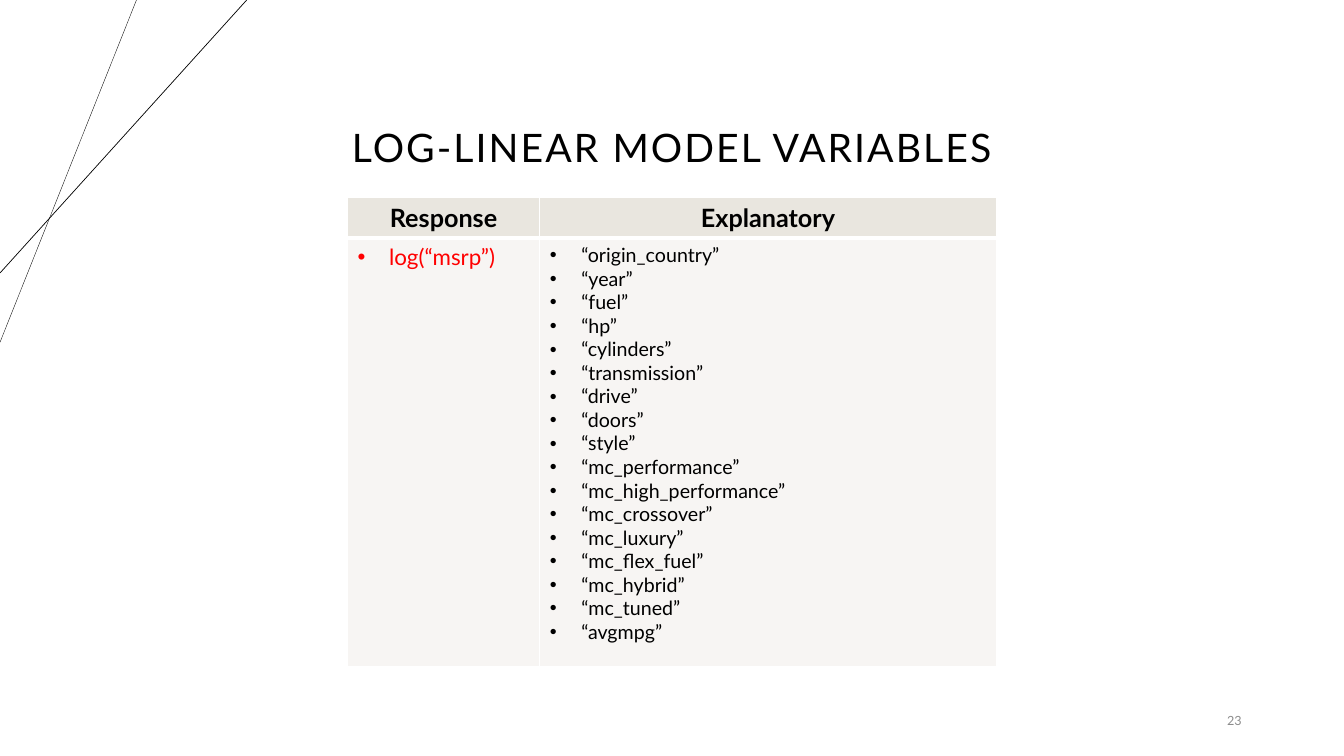
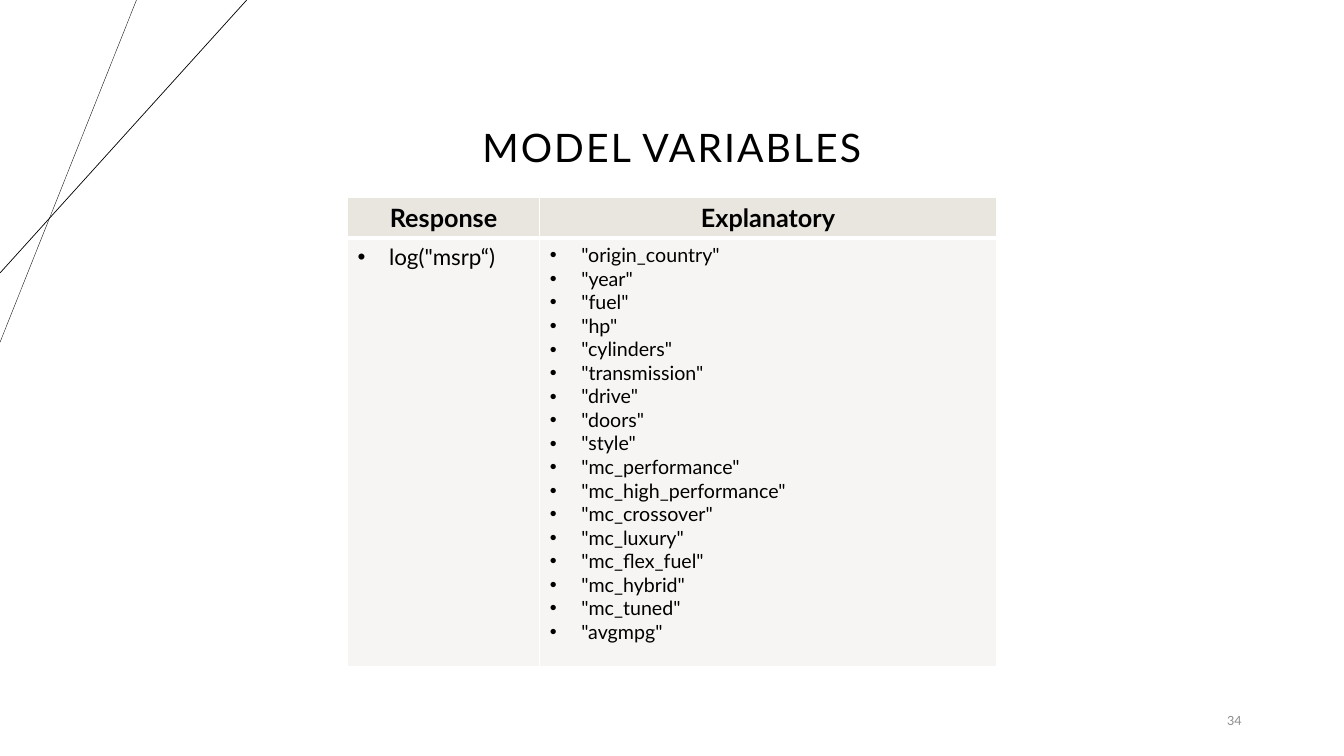
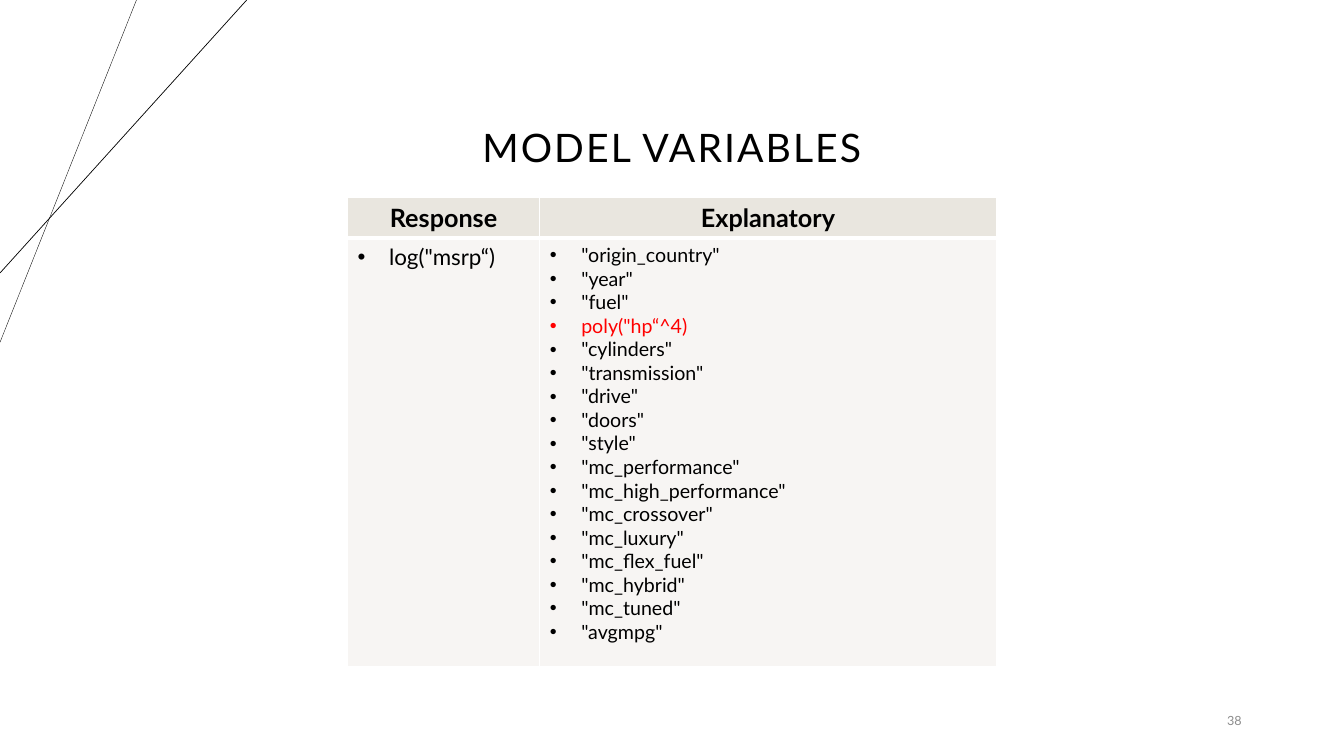
from lxml import etree
from pptx import Presentation
from pptx.dml.color import RGBColor
from pptx.enum.shapes import MSO_CONNECTOR
from pptx.enum.text import MSO_ANCHOR, PP_ALIGN
from pptx.oxml.ns import qn
from pptx.util import Pt

PX = 9525
FONT = "Lato"
BLACK = RGBColor(0x00, 0x00, 0x00)
WHITE = RGBColor(0xFF, 0xFF, 0xFF)
RED = RGBColor(0xFF, 0x00, 0x00)
GREY = RGBColor(0x8C, 0x8C, 0x8C)
HEADER_FILL = RGBColor(0xE9, 0xE6, 0xDF)
BODY_FILL = RGBColor(0xF7, 0xF5, 0xF3)
LEFT, CENTER, RIGHT = PP_ALIGN.LEFT, PP_ALIGN.CENTER, PP_ALIGN.RIGHT
MIDDLE = MSO_ANCHOR.MIDDLE
STRAIGHT = MSO_CONNECTOR.STRAIGHT

COLUMN_WIDTHS = (183, 435)
ROW_HEIGHTS = (39, 408)
BULLET_INDENT = 30
VARIABLES = (
    "origin_country", "year", "fuel", "hp", "cylinders", "transmission",
    "drive", "doors", "style", "mc_performance", "mc_high_performance",
    "mc_crossover", "mc_luxury", "mc_flex_fuel", "mc_hybrid", "mc_tuned",
    "avgmpg",
)


def px(length):
    return length * PX


def add_span(para, text, size, color=BLACK, bold=False):
    span = para.add_run()
    span.text = text
    font = span.font
    font.name, font.size, font.bold = FONT, Pt(size), bold
    font.color.rgb = color
    return span


def add_line(page, start, end, width):
    line = page.shapes.add_connector(STRAIGHT, *map(px, (*start, *end)))
    line.line.color.rgb = BLACK
    line.line.width = Pt(width)
    etree.SubElement(line._element.spPr, qn("a:effectLst"))


def add_text(page, place, text, size, color, align):
    box = page.shapes.add_textbox(*map(px, place))
    frame = box.text_frame
    frame.word_wrap = True
    frame.vertical_anchor = MIDDLE
    para = frame.paragraphs[0]
    para.alignment = align
    return para, add_span(para, text, size, color)


def add_frame(page, title, number):
    """Add the corner lines, title and page number that every page has."""
    add_line(page, (130, 0), (0, 326), 0.25)
    add_line(page, (235, 0), (0, 260), 0.5)
    para, span = add_text(page, (198, 73, 884, 139), title, 28, BLACK, CENTER)
    para.line_spacing = 0.9
    span.font._element.set("spc", "150")
    add_text(page, (904, 667, 288, 38), str(number), 9, GREY, RIGHT)


def style_cell(cell, fill, top, bottom):
    """Fill a cell and give it white borders; top and bottom are in points."""
    properties = cell._tc.get_or_add_tcPr()
    for side, width in (("L", 1), ("R", 1), ("T", top), ("B", bottom)):
        border = etree.SubElement(properties, qn(f"a:ln{side}"), w=str(Pt(width)))
        solid = etree.SubElement(border, qn("a:solidFill"))
        etree.SubElement(solid, qn("a:srgbClr"), val=str(WHITE))
    cell.fill.solid()
    cell.fill.fore_color.rgb = fill


def add_bullets(cell, items, size, highlighted):
    frame = cell.text_frame
    for index, item in enumerate(items):
        para = frame.add_paragraph() if index else frame.paragraphs[0]
        para.alignment = LEFT
        properties = para._p.get_or_add_pPr()
        properties.set("marL", str(px(BULLET_INDENT)))
        properties.set("indent", str(-px(BULLET_INDENT)))
        etree.SubElement(properties, qn("a:buFont"), typeface="Arial")
        etree.SubElement(properties, qn("a:buChar"), char="•")
        add_span(para, item, size, RED if item in highlighted else BLACK)


def add_variable_table(page, response, explanatory, highlighted):
    shape = page.shapes.add_table(2, 2, px(331), px(188),
                                  px(sum(COLUMN_WIDTHS)), px(sum(ROW_HEIGHTS)))
    table = shape.table
    table.first_row = table.horz_banding = False
    for column, width in zip(table.columns, COLUMN_WIDTHS):
        column.width = px(width)
    for row, height in zip(table.rows, ROW_HEIGHTS):
        row.height = px(height)

    columns = (("Response", [response], 16), ("Explanatory", explanatory, 14))
    for index, (heading, items, size) in enumerate(columns):
        header, body = table.cell(0, index), table.cell(1, index)
        style_cell(header, HEADER_FILL, 1, 3)
        style_cell(body, BODY_FILL, 3, 1)
        para = header.text_frame.paragraphs[0]
        para.alignment = CENTER
        add_span(para, heading, 18, bold=True)
        add_bullets(body, items, size, highlighted)


def add_page(deck, title, number, response, explanatory, highlighted=()):
    page = deck.slides.add_slide(deck.slide_layouts[6])
    add_frame(page, title, number)
    add_variable_table(page, response, explanatory, highlighted)


def main():
    deck = Presentation()
    deck.slide_width, deck.slide_height = px(1280), px(720)

    curly = [f"“{name}”" for name in VARIABLES]
    straight = [f'"{name}"' for name in VARIABLES]
    power = 'poly("hp“^4)'
    with_power = [power if item == '"hp"' else item for item in straight]

    add_page(deck, "LOG-LINEAR MODEL VARIABLES", 23, "log(“msrp”)", curly,
             ["log(“msrp”)"])
    add_page(deck, "MODEL VARIABLES", 34, 'log("msrp“)', straight)
    add_page(deck, "MODEL VARIABLES", 38, 'log("msrp“)', with_power, [power])
    deck.save("out.pptx")


if __name__ == "__main__":
    main()
